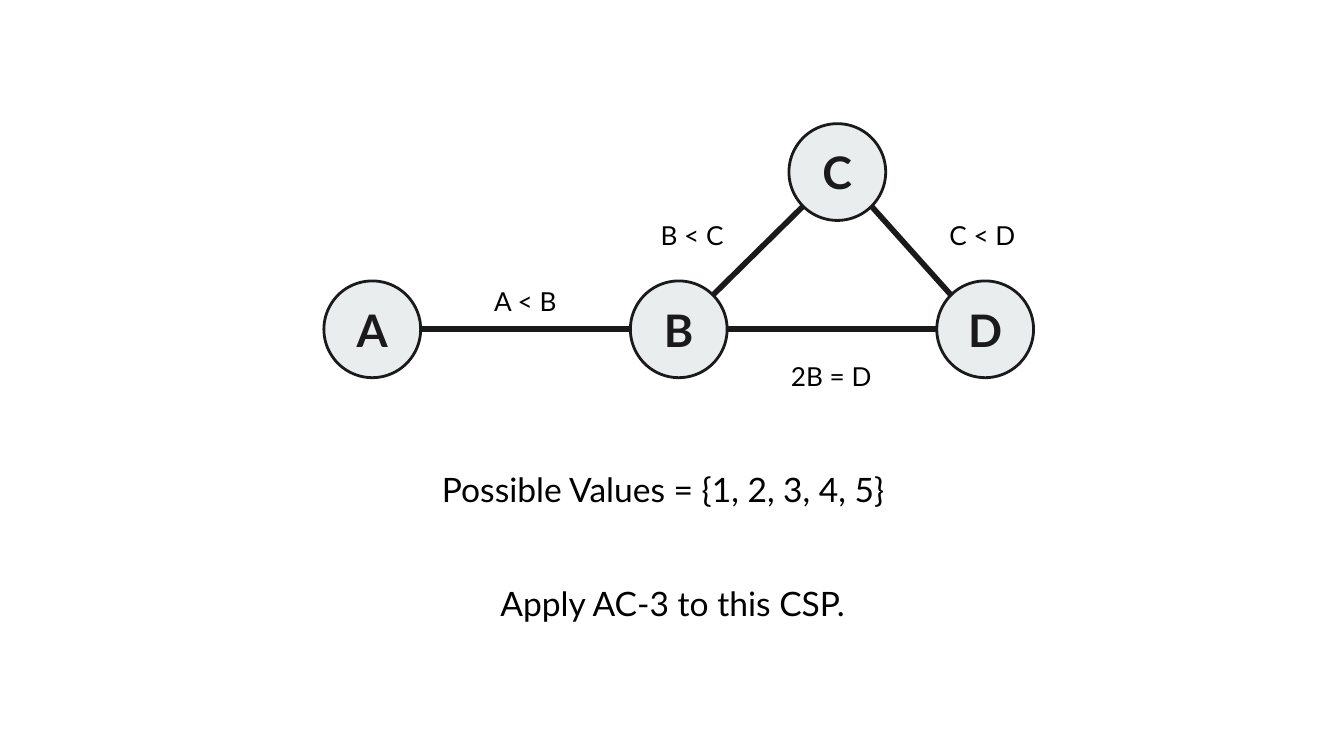
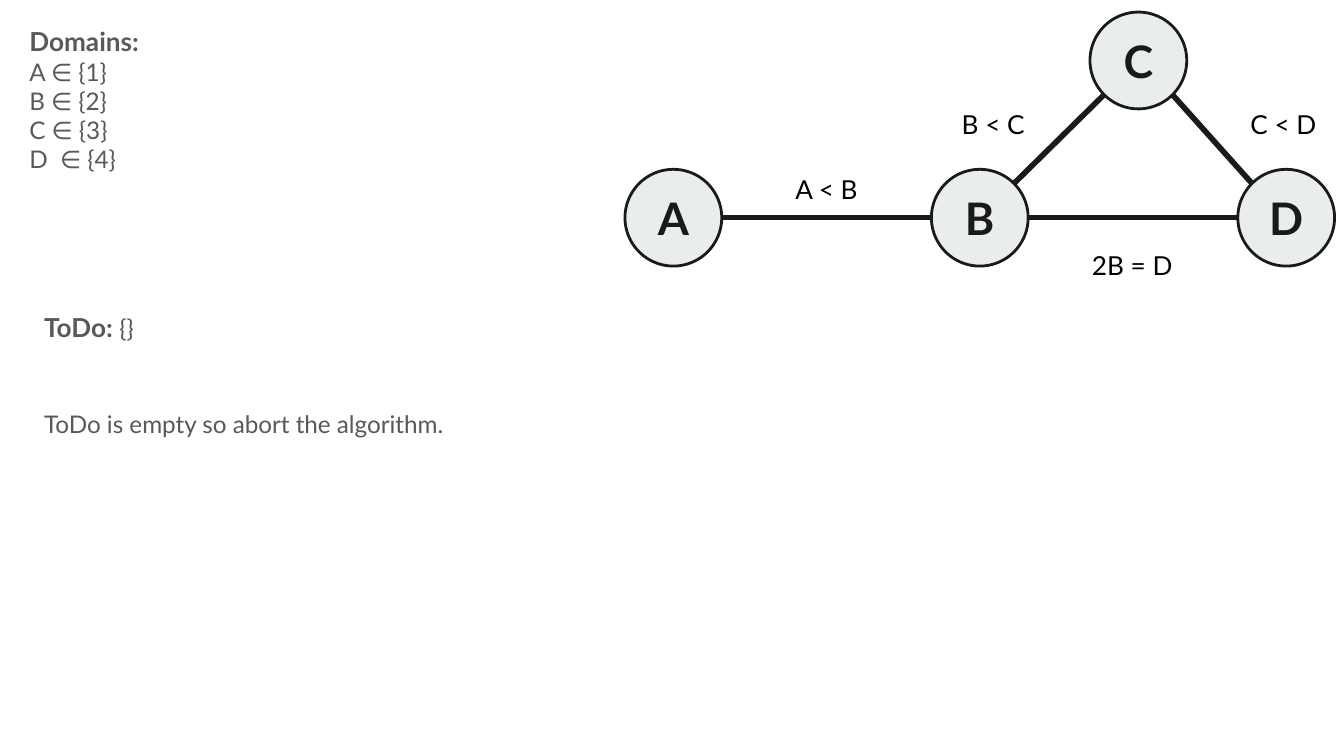
from lxml import etree
from pptx import Presentation
from pptx.dml.color import RGBColor as RGB
from pptx.enum.shapes import MSO_CONNECTOR as CONN, MSO_SHAPE as SHAPE
from pptx.enum.text import MSO_ANCHOR as ANCHOR, PP_ALIGN as ALIGN
from pptx.oxml.ns import qn
from pptx.util import Inches, Pt

COLORS = {"ink": "1A1A1A", "node": "E9EDEE", "text": "000000", "body": "595959"}
FONT = "Lato"
SIZE = 0.72
MID = SIZE / 2
DIAG = 0.25

NODES = {"D": (4.56, 1.17), "B": (2.28, 1.17), "C": (3.46, 0), "A": (0, 1.17)}
EDGES = [
    ("A", (MID, 0), "B", (-MID, 0)),
    ("B", (DIAG, -DIAG), "C", (-DIAG, DIAG)),
    ("B", (MID, 0), "D", (-MID, 0)),
    ("D", (-DIAG, -DIAG), "C", (DIAG, DIAG)),
]
LABELS = [
    ("A < B", 1.1, 1.1, 0.8),
    ("B < C", 2.34, 0.61, 0.8),
    ("C < D", 4.5, 0.61, 0.8),
    ("2B = D", 3.29, 1.66, 0.97),
]


def write(sp, *paragraphs, size=14, color="text", bold=False, align=ALIGN.LEFT,
          anchor=ANCHOR.TOP, spacing=1.0, after=0):
    tf = sp.text_frame
    tf.word_wrap = True
    tf.vertical_anchor = anchor
    tf.margin_left = tf.margin_right = tf.margin_top = tf.margin_bottom = Inches(0.1)
    for i, runs in enumerate(paragraphs):
        p = tf.add_paragraph() if i else tf.paragraphs[0]
        p.alignment = align
        p.line_spacing = spacing
        p.space_after = Pt(after)
        for text, run_size, run_bold in [(runs, size, bold)] if isinstance(runs, str) else runs:
            r = p.add_run()
            r.text = text
            r.font.name = FONT
            r.font.size = Pt(run_size)
            r.font.bold = run_bold
            r.font.color.rgb = RGB.from_string(COLORS[color])


def box(slide, x, y, w, h):
    return slide.shapes.add_textbox(Inches(x), Inches(y), Inches(w), Inches(h))


prs = Presentation()
prs.slide_width = Inches(10)
prs.slide_height = prs.slide_width * 9 // 16
ink = RGB.from_string(COLORS["ink"])

slides = []
for left, top in [(2.41, 0.92), (4.65, 0.09)]:
    slide = prs.slides.add_slide(prs.slide_layouts[6])
    slides.append(slide)

    for name, (x, y) in NODES.items():
        sp = slide.shapes.add_shape(SHAPE.OVAL, Inches(left + x), Inches(top + y),
                                    Inches(SIZE), Inches(SIZE))
        sp.shadow.inherit = False
        sp.fill.solid()
        sp.fill.fore_color.rgb = RGB.from_string(COLORS["node"])
        sp.line.color.rgb = ink
        sp.line.width = Pt(1.5)
        write(sp, name, size=24, color="ink", bold=True,
              align=ALIGN.CENTER, anchor=ANCHOR.MIDDLE)

    for start, (dx1, dy1), end, (dx2, dy2) in EDGES:
        (x1, y1), (x2, y2) = NODES[start], NODES[end]
        line = slide.shapes.add_connector(
            CONN.STRAIGHT,
            Inches(left + x1 + MID + dx1), Inches(top + y1 + MID + dy1),
            Inches(left + x2 + MID + dx2), Inches(top + y2 + MID + dy2))
        line.line.color.rgb = ink
        line.line.width = Pt(3)
        etree.SubElement(line._element.spPr, qn("a:effectLst"))

    for label, x, y, w in LABELS:
        write(box(slide, left + x, top + y, w, 0.44), label,
              align=ALIGN.CENTER, anchor=ANCHOR.MIDDLE)

problem, result = slides

write(box(problem, 0.5, 4.24, 9.01, 0.5), "Apply AC-3 to this CSP.",
      size=18, align=ALIGN.CENTER)
write(box(problem, 3.19, 3.39, 3.63, 0.5), "Possible Values = {1, 2, 3, 4, 5}", size=18)

write(box(result, 0.12, 0.09, 4.13, 1.28), [("Domains:", 14, True)],
      "A ∈ {1}", "B ∈ {2}", "C ∈ {3}", "D  ∈ {4}", size=13, color="body")
write(box(result, 0.23, 2.18, 5.02, 0.53), [("ToDo: ", 14, True), ("{}", 13, False)],
      color="body", spacing=1.15, after=16)
write(box(result, 0.23, 2.91, 7.98, 2.07), "ToDo is empty so abort the algorithm.",
      size=13, color="body", spacing=1.15, after=16)

prs.save("out.pptx")
